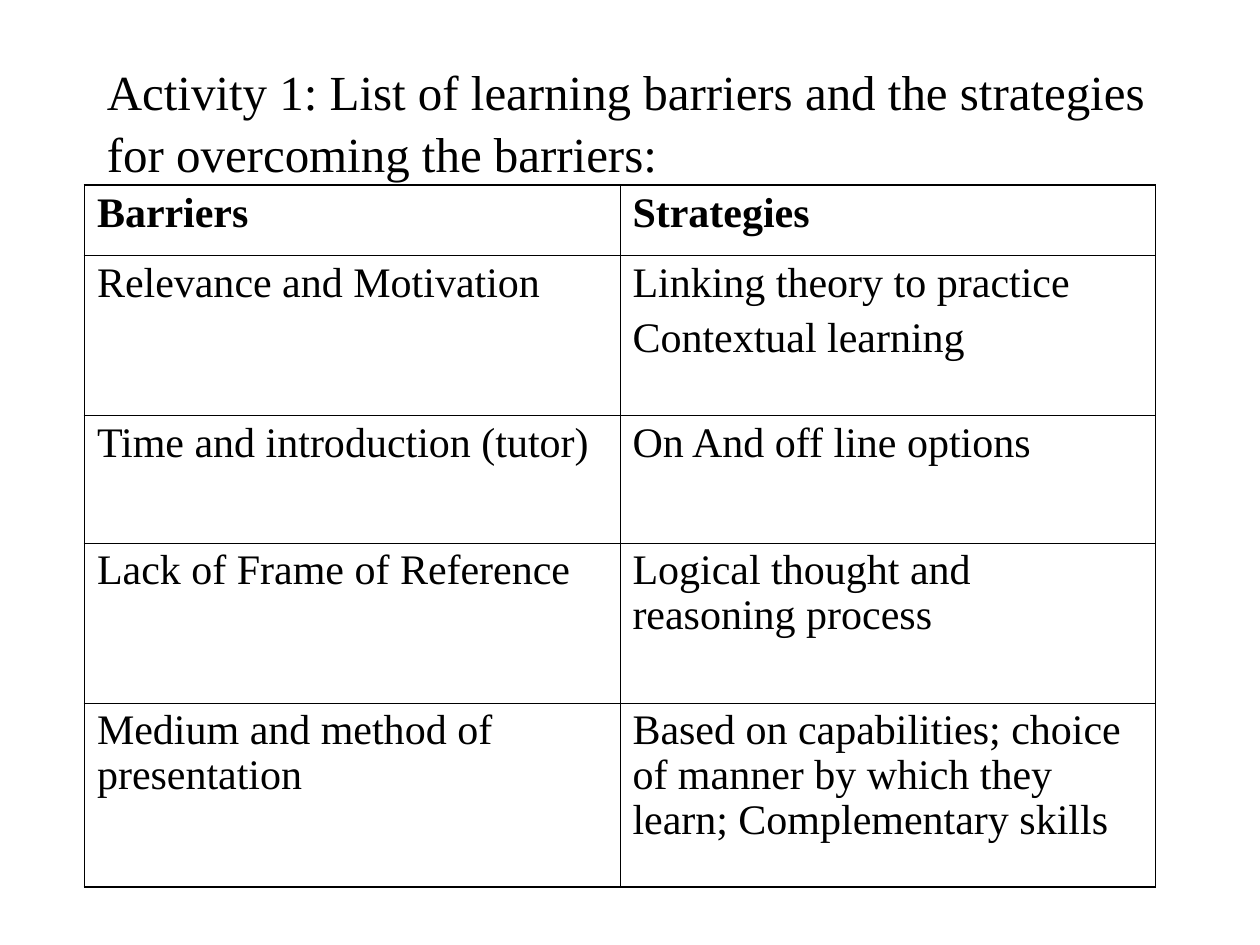
from lxml.etree import SubElement
from pptx import Presentation
from pptx.dml.color import RGBColor
from pptx.enum.text import MSO_ANCHOR
from pptx.oxml.ns import qn
from pptx.util import Inches, Pt

BLACK = RGBColor(0, 0, 0)
WHITE = RGBColor(255, 255, 255)
OUTER, INNER = Pt(1.08), Pt(0.45)

TITLE = "Activity 1: List of learning barriers and the strategies for overcoming the barriers:"
ROWS = [
    (0.56, "Barriers", "Strategies"),
    (1.27, "Relevance and Motivation", "Linking theory to practice\nContextual learning"),
    (1.01, "Time and introduction (tutor)", "On And off line options"),
    (1.27, "Lack of Frame of Reference", "Logical thought and reasoning process"),
    (1.46, "Medium and method of presentation",
     "Based on capabilities; choice of manner by which they learn; Complementary skills"),
]


class SlideBuilder:
    """Holds the text style and the current slide, and adds elements to it."""

    def __init__(self, page, font="Times New Roman", color=BLACK):
        self.page, self.font, self.color = page, font, color

    def fill_text(self, frame, text, size, spacing, before=0, bold=False):
        frame.text = text
        for para in frame.paragraphs:
            para.line_spacing = spacing
            para.space_before = Pt(before)
            for span in para.runs:
                span.font.name = self.font
                span.font.size = Pt(size)
                span.font.bold = bold
                span.font.color.rgb = self.color

    def title(self, text, left, top, width, height):
        box = self.page.shapes.add_textbox(Inches(left), Inches(top), Inches(width), Inches(height))
        box.text_frame.word_wrap = True
        box.text_frame.vertical_anchor = MSO_ANCHOR.MIDDLE
        self.fill_text(box.text_frame, text, 28, 1.05)

    def border(self, cell, widths):
        properties = cell._tc.get_or_add_tcPr()
        for position, (side, width) in enumerate(widths.items()):
            line = properties.makeelement(qn(f"a:{side}"), {"w": str(int(width))})
            properties.insert(position, line)
            fill = SubElement(line, qn("a:solidFill"))
            SubElement(fill, qn("a:srgbClr"), val=str(self.color))

    def table(self, rows, left, top, width):
        heights = [Inches(row[0]) for row in rows]
        columns = len(rows[0]) - 1
        table = self.page.shapes.add_table(
            len(rows), columns, Inches(left), Inches(top), Inches(width), sum(heights)).table
        for r, (_, *texts) in enumerate(rows):
            table.rows[r].height = heights[r]
            for c, text in enumerate(texts):
                cell = table.cell(r, c)
                cell.fill.solid()
                cell.fill.fore_color.rgb = WHITE
                self.fill_text(cell.text_frame, text, 24, 0.96, before=6, bold=r == 0)
                self.border(cell, {
                    "lnL": OUTER if c == 0 else INNER,
                    "lnR": OUTER if c == columns - 1 else INNER,
                    "lnT": OUTER if r == 0 else INNER,
                    "lnB": OUTER if r == len(rows) - 1 else INNER,
                })


def main():
    deck = Presentation()
    deck.slide_width, deck.slide_height = Inches(10), Inches(7.5)
    builder = SlideBuilder(deck.slides.add_slide(deck.slide_layouts[6]))
    builder.title(TITLE, 0.75, 0.33, 8.5, 1.25)
    builder.table(ROWS, 0.67, 1.47, 8.5)
    deck.save("out.pptx")


if __name__ == "__main__":
    main()
